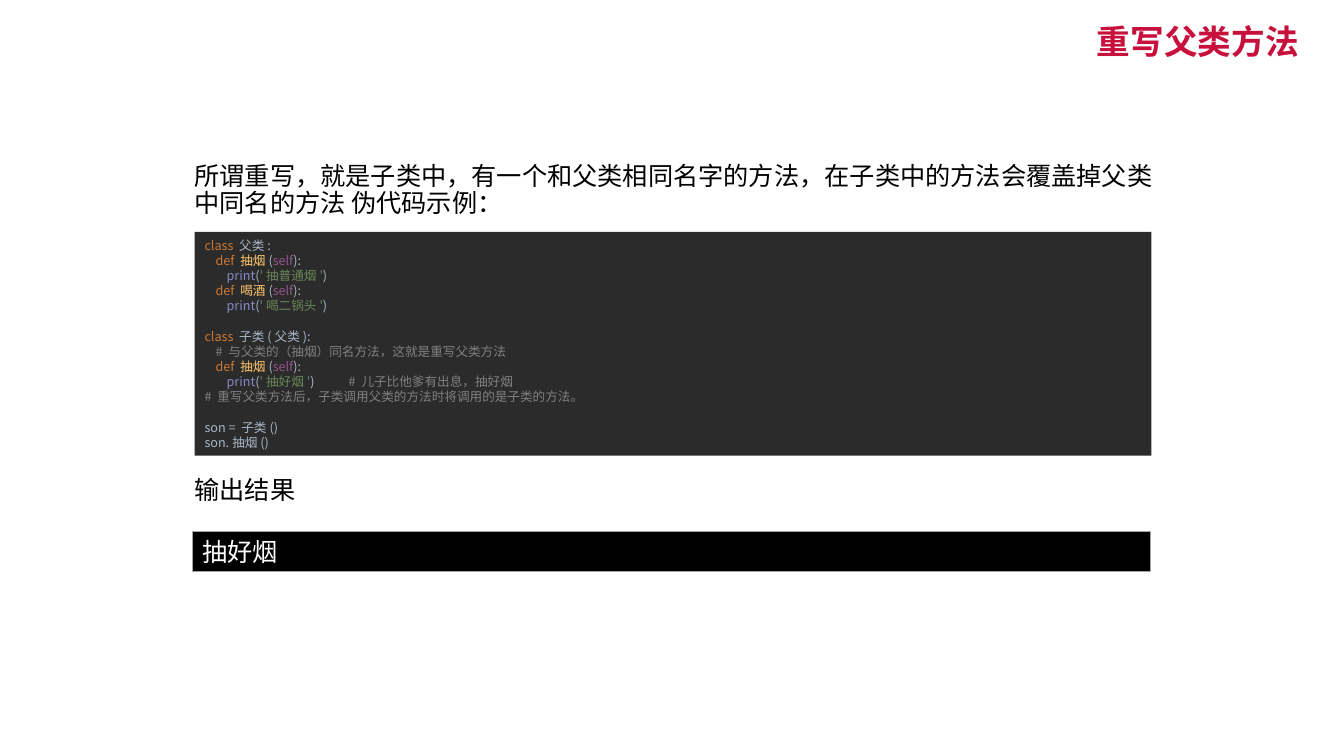
"""Build a slide on overriding parent-class methods, with sample code and its output."""
from dataclasses import dataclass, field

from lxml import etree
from pptx import Presentation
from pptx.dml.color import RGBColor
from pptx.enum.shapes import MSO_SHAPE
from pptx.enum.text import MSO_ANCHOR, PP_ALIGN
from pptx.oxml.ns import qn
from pptx.util import Inches, Pt

RECTANGLE = MSO_SHAPE.RECTANGLE
MIDDLE, TOP = MSO_ANCHOR.MIDDLE, MSO_ANCHOR.TOP
LEFT, RIGHT = PP_ALIGN.LEFT, PP_ALIGN.RIGHT
TITLE_ONLY = 5


@dataclass(frozen=True)
class Theme:
    sans: str = "Noto Sans CJK SC"
    serif: str = "Times New Roman"
    title: str = "C8103D"
    ink: str = "000000"
    paper: str = "FFFFFF"
    editor: str = "2B2B2B"
    border: str = "A5A5A5"
    keyword: str = "CC7832"
    plain: str = "A9B7C6"
    method: str = "FFC66D"
    self_name: str = "94558D"
    builtin: str = "8888C6"
    string: str = "6A8759"
    comment: str = "808080"
    title_size: float = 24
    body_size: float = 18
    code_size: float = 9
    body_leading: float = 19.4
    code_leading: float = 10.82
    indent: float = 0.11
    comment_tab: float = 1.21


@dataclass(frozen=True)
class Box:
    left: float
    top: float
    width: float
    height: float

    def lengths(self) -> tuple:
        return tuple(Inches(v) for v in (self.left, self.top, self.width, self.height))


@dataclass(frozen=True)
class Token:
    text: str
    color: str


@dataclass(frozen=True)
class Line:
    tokens: list[Token] = field(default_factory=list)
    level: int = 0
    starts_block: bool = False


THEME = Theme()


def class_line(signature: str, starts_block: bool = False) -> Line:
    return Line([Token("class ", THEME.keyword), Token(f"{signature}:", THEME.plain)],
                starts_block=starts_block)


def def_line(method: str) -> Line:
    return Line([Token("def ", THEME.keyword), Token(method, THEME.method),
                 Token("(", THEME.plain), Token("self", THEME.self_name),
                 Token("):", THEME.plain)], 1)


def print_line(message: str, remark: str = "") -> Line:
    tokens = [Token("print", THEME.builtin), Token("(", THEME.plain),
              Token(f"'{message}'", THEME.string), Token(")", THEME.plain)]
    if remark:
        tokens.append(Token(f"\t{remark}", THEME.comment))
    return Line(tokens, 2)


def comment_line(remark: str, level: int = 0) -> Line:
    return Line([Token(remark, THEME.comment)], level)


def plain_line(statement: str, starts_block: bool = False) -> Line:
    return Line([Token(statement, THEME.plain)], starts_block=starts_block)


OUTPUT = "抽好烟"
CODE = [
    class_line("父类"),
    def_line("抽烟"),
    print_line("抽普通烟"),
    def_line("喝酒"),
    print_line("喝二锅头"),
    class_line("子类(父类)", starts_block=True),
    comment_line("# 与父类的（抽烟）同名方法，这就是重写父类方法", 1),
    def_line("抽烟"),
    print_line(OUTPUT, "# 儿子比他爹有出息，抽好烟"),
    comment_line("# 重写父类方法后，子类调用父类的方法时将调用的是子类的方法。"),
    plain_line("son = 子类()", starts_block=True),
    plain_line("son.抽烟()"),
]


def add_run(paragraph, text: str, color: str, size: float, font: str = THEME.sans,
            bold: bool = False) -> None:
    run = paragraph.add_run()
    run.text = text
    run.font.name = font
    run.font.size = Pt(size)
    run.font.bold = bold
    run.font.color.rgb = RGBColor.from_string(color)
    east_asian = etree.SubElement(run.font._element, qn("a:ea"))
    east_asian.set("typeface", THEME.sans)


def add_panel(slide, box: Box, fill: str, border: str = ""):
    panel = slide.shapes.add_shape(RECTANGLE, *box.lengths())
    panel.shadow.inherit = False
    panel.fill.solid()
    panel.fill.fore_color.rgb = RGBColor.from_string(fill)
    if border:
        panel.line.color.rgb = RGBColor.from_string(border)
        panel.line.width = Pt(0.75)
    else:
        panel.line.fill.background()
    panel.text_frame.word_wrap = True
    panel.text_frame.vertical_anchor = MIDDLE
    panel.text_frame.paragraphs[0].alignment = LEFT
    return panel.text_frame


def add_title(slide, box: Box, text: str) -> None:
    title = slide.shapes.title
    title.left, title.top, title.width, title.height = box.lengths()
    title.text_frame.vertical_anchor = MIDDLE
    heading = title.text_frame.paragraphs[0]
    heading.alignment = RIGHT
    add_run(heading, text, THEME.title, THEME.title_size, bold=True)


def add_body(slide, box: Box, text: str) -> None:
    frame = slide.shapes.add_textbox(*box.lengths()).text_frame
    frame.word_wrap = True
    frame.vertical_anchor = TOP
    paragraph = frame.paragraphs[0]
    paragraph.line_spacing = Pt(THEME.body_leading)
    add_run(paragraph, text, THEME.ink, THEME.body_size)


def add_code(slide, box: Box, lines: list[Line]) -> None:
    frame = add_panel(slide, box, THEME.editor)
    for number, line in enumerate(lines):
        paragraph = frame.add_paragraph() if number else frame.paragraphs[0]
        paragraph.alignment = LEFT
        paragraph.line_spacing = Pt(THEME.code_leading)
        paragraph.space_before = Pt(THEME.code_leading if line.starts_block else 0)
        properties = paragraph._p.get_or_add_pPr()
        properties.set("marL", str(Inches(THEME.indent * line.level)))
        stops = etree.SubElement(properties, qn("a:tabLst"))
        etree.SubElement(stops, qn("a:tab"), pos=str(Inches(THEME.comment_tab)), algn="l")
        for token in line.tokens:
            add_run(paragraph, token.text, token.color, THEME.code_size)


def main() -> None:
    deck = Presentation()
    deck.slide_width, deck.slide_height = Inches(13.33), Inches(7.5)
    slide = deck.slides.add_slide(deck.slide_layouts[TITLE_ONLY])
    add_title(slide, Box(6.67, 0.2, 6.31, 0.41), "重写父类方法")
    add_body(slide, Box(1.83, 1.57, 9.82, 0.73),
             "所谓重写，就是子类中，有一个和父类相同名字的方法，"
             "在子类中的方法会覆盖掉父类中同名的方法 伪代码示例：")
    add_code(slide, Box(1.93, 2.3, 9.49, 2.22), CODE)
    add_body(slide, Box(1.83, 4.69, 1.21, 0.4), "输出结果")
    output = add_panel(slide, Box(1.91, 5.27, 9.5, 0.4), THEME.ink, THEME.border)
    add_run(output.paragraphs[0], OUTPUT, THEME.paper, THEME.body_size, THEME.serif)
    deck.save("out.pptx")


if __name__ == "__main__":
    main()
